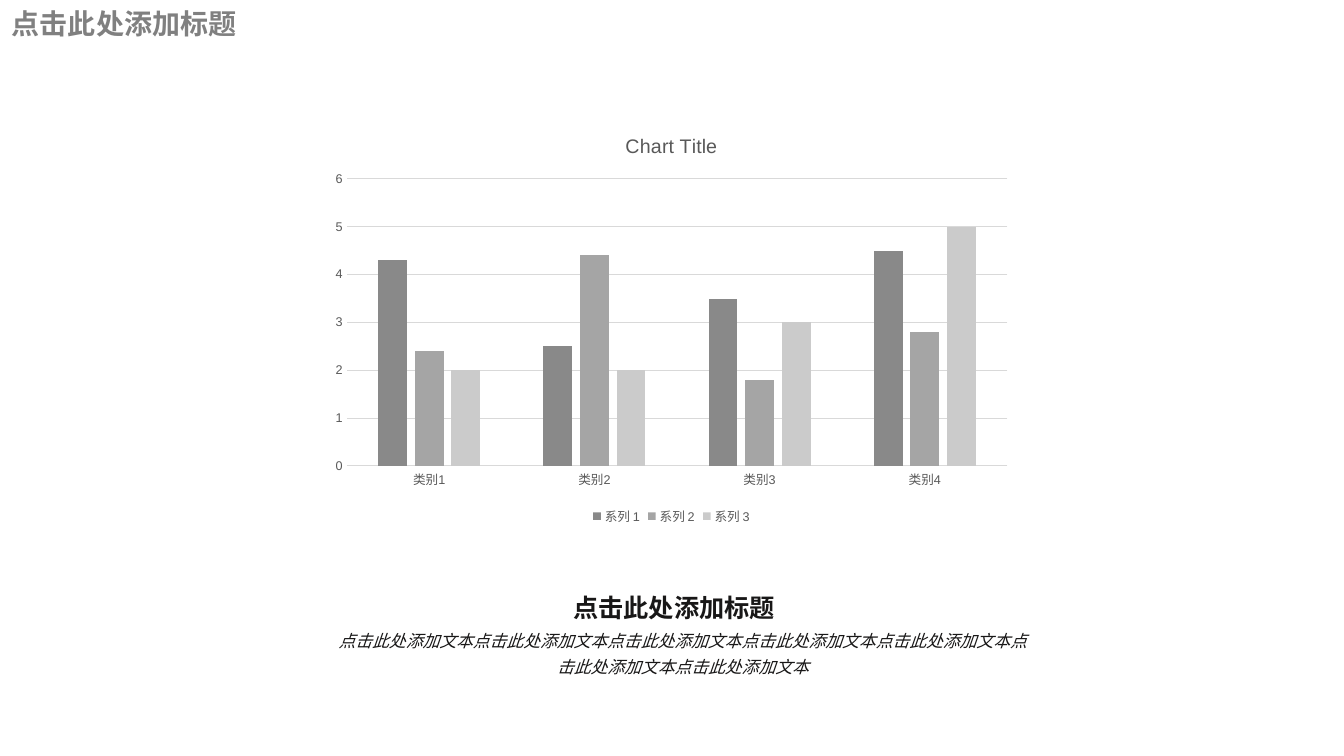
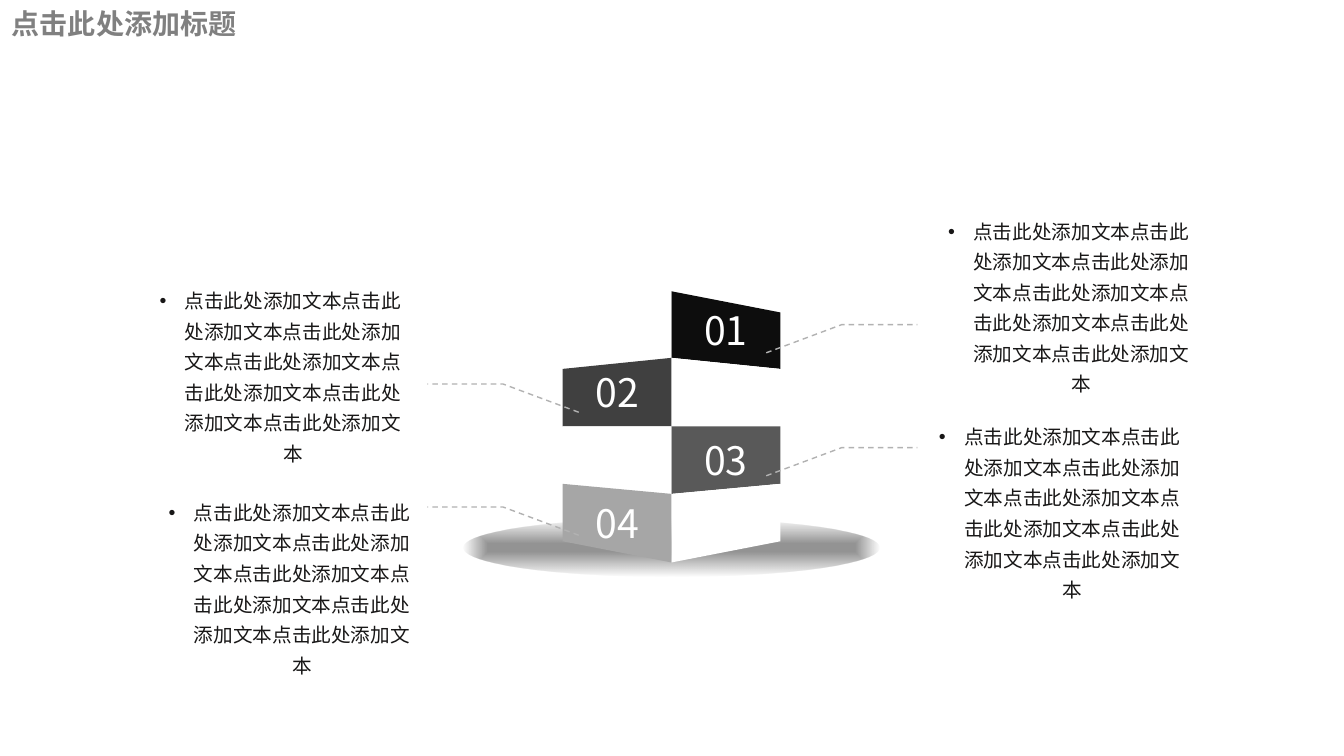
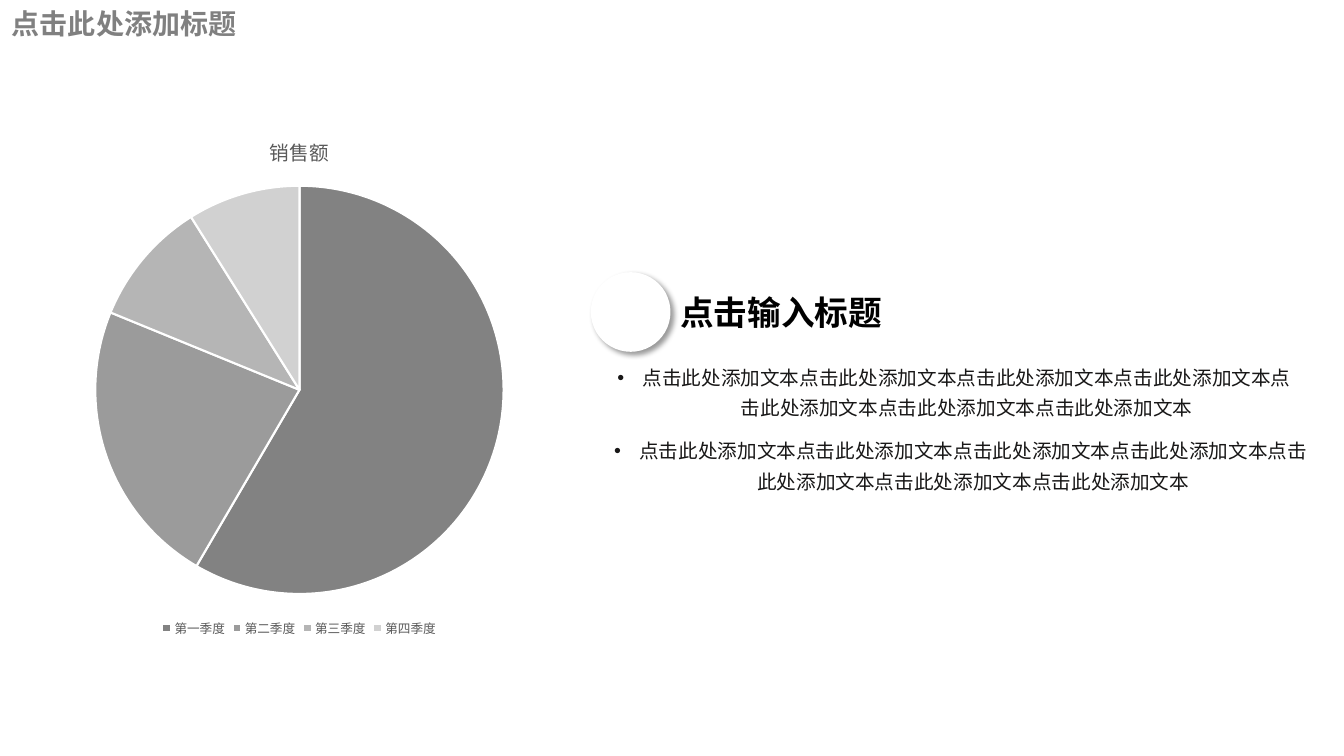
"""Build three greyscale slides: a column chart, a stacked block diagram and a pie chart."""
import lxml.etree
import pptx
import pptx.chart.data
import pptx.dml.color
import pptx.enum.chart
import pptx.enum.dml
import pptx.enum.shapes
import pptx.enum.text
import pptx.oxml
import pptx.oxml.ns
import pptx.util

Inches = pptx.util.Inches
Pt = pptx.util.Pt
CENTER = pptx.enum.text.PP_ALIGN.CENTER
LEFT = pptx.enum.text.PP_ALIGN.LEFT
FONT = "Noto Sans CJK SC"
CHART_FONT = "Arial"
INK = "181717"
CHART_INK = "595959"
GRID = "D9D9D9"
WHITE = "FFFFFF"
HEADING = "点击此处添加标题"
PHRASE = "点击此处添加文本"
NAMESPACE = 'xmlns:a="http://schemas.openxmlformats.org/drawingml/2006/main"'


def color(value):
    """Return the colour for a hex string."""
    return pptx.dml.color.RGBColor.from_string(value)


def paint(shape, value):
    """Give a shape a plain fill with no outline or shadow."""
    shape.shadow.inherit = False
    shape.fill.solid()
    shape.fill.fore_color.rgb = color(value)
    shape.line.fill.background()


def add_span(para, text, size, ink, bold=False, italic=False):
    """Add one formatted run to a paragraph."""
    span = para.add_run()
    span.text = text
    font = span.font
    font.size, font.bold, font.italic = Pt(size), bold, italic
    font.color.rgb = color(ink)
    font.name = FONT
    east = lxml.etree.SubElement(font._element, pptx.oxml.ns.qn("a:ea"))
    east.set("typeface", FONT)


def add_text(page, at, text, size, ink, align=LEFT, spacing=None, bold=False, italic=False):
    """Add a wrapping text box and return its paragraph."""
    box = page.shapes.add_textbox(*map(Inches, at))
    frame = box.text_frame
    frame.word_wrap = True
    frame.auto_size = pptx.enum.text.MSO_AUTO_SIZE.SHAPE_TO_FIT_TEXT
    para = frame.paragraphs[0]
    para.alignment = align
    para.line_spacing = spacing
    add_span(para, text, size, ink, bold, italic)
    return para


def add_bullet(page, at, repeats):
    """Add a bulleted body text box."""
    para = add_text(page, at, PHRASE * repeats, 14, INK, CENTER, 1.3)
    para.space_before = Pt(10)
    properties = para._p.get_or_add_pPr()
    properties.set("marL", str(Inches(0.25)))
    properties.set("indent", str(Inches(-0.25)))
    for tag, name, value in (("a:buFont", "typeface", "Arial"), ("a:buChar", "char", "•")):
        lxml.etree.SubElement(properties, pptx.oxml.ns.qn(tag)).set(name, value)


def add_page(deck):
    """Add a blank slide with the shared heading."""
    page = deck.slides.add_slide(deck.slide_layouts[6])
    add_text(page, (0.02, 0.02, 4.44, 0.44), HEADING, 20, "808080", bold=True)
    return page


def add_outline(page, points, close):
    """Add a freeform through points given in inches."""
    corners = [(Inches(x), Inches(y)) for x, y in points]
    builder = page.shapes.build_freeform(*corners[0])
    builder.add_line_segments(corners[1:], close=close)
    return builder.convert_to_shape()


def add_face(page, points, fill, label):
    """Add one face of the block, numbered unless it is white."""
    face = add_outline(page, points, True)
    paint(face, fill)
    if fill != WHITE:
        frame = face.text_frame
        frame.vertical_anchor = pptx.enum.text.MSO_ANCHOR.MIDDLE
        frame.paragraphs[0].alignment = CENTER
        add_span(frame.paragraphs[0], label, 28, WHITE)


def add_leader(page, x, y, direction):
    """Add a dashed leader that rises and then runs level."""
    bend, end = x + direction * 0.75, x + direction * 1.5
    leader = add_outline(page, [(x, y), (bend, y - 0.28), (end, y - 0.28)], False)
    leader.shadow.inherit = False
    leader.fill.background()
    leader.line.color.rgb = color("B2B2B2")
    leader.line.width = Pt(1)
    leader.line.dash_style = pptx.enum.dml.MSO_LINE.DASH


def add_ellipse(page, at):
    """Add a white ellipse."""
    ellipse = page.shapes.add_shape(pptx.enum.shapes.MSO_SHAPE.OVAL, *map(Inches, at))
    paint(ellipse, WHITE)
    return ellipse


def add_glow(page, at):
    """Add an ellipse that fades out from its centre."""
    glow = add_ellipse(page, at)
    stops = "".join(
        f'<a:gs pos="{place}000"><a:srgbClr val="333333"><a:alpha val="{alpha}000"/></a:srgbClr></a:gs>'
        for place, alpha in ((15, 52), (100, 0)))
    gradient = pptx.oxml.parse_xml(
        f'<a:gradFill {NAMESPACE} rotWithShape="1"><a:gsLst>{stops}</a:gsLst><a:path path="shape">'
        '<a:fillToRect l="50000" t="50000" r="50000" b="50000"/></a:path></a:gradFill>')
    properties = glow._element.spPr
    properties.replace(properties.find(pptx.oxml.ns.qn("a:solidFill")), gradient)


def add_disc(page, at):
    """Add a white disc with a soft shadow."""
    disc = add_ellipse(page, at)
    effects = disc._element.spPr.find(pptx.oxml.ns.qn("a:effectLst"))
    effects.append(pptx.oxml.parse_xml(
        f'<a:outerShdw {NAMESPACE} blurRad="{Pt(4)}" dist="{Pt(3)}" dir="2700000" algn="tl" '
        'rotWithShape="0"><a:srgbClr val="000000"><a:alpha val="40000"/></a:srgbClr></a:outerShdw>'))


def style_font(font, size):
    """Apply the shared chart lettering."""
    font.name, font.size, font.bold = CHART_FONT, Pt(size), False
    font.color.rgb = color(CHART_INK)


def add_chart(page, kind, at, title, categories, series):
    """Add a chart with the shared title and legend style."""
    data = pptx.chart.data.CategoryChartData()
    data.categories = categories
    for name, values in series:
        data.add_series(name, values)
    chart = page.shapes.add_chart(kind, *map(Inches, at), data).chart
    style_font(chart.font, 10)
    chart.has_title = True
    para = chart.chart_title.text_frame.paragraphs[0]
    span = para.add_run()
    span.text = title
    style_font(span.font, 14)
    chart.chart_title.include_in_layout = False
    chart.has_legend = True
    chart.legend.position = pptx.enum.chart.XL_LEGEND_POSITION.BOTTOM
    chart.legend.include_in_layout = False
    style_font(chart.legend.font, 9)
    return chart


def style_axis(axis):
    """Apply the shared axis style."""
    axis.major_tick_mark = axis.minor_tick_mark = pptx.enum.chart.XL_TICK_MARK.NONE
    style_font(axis.tick_labels.font, 9)


def style_line(line, ink, width):
    """Set the colour and width of a line."""
    line.color.rgb = color(ink)
    line.width = Pt(width)


def build_columns(deck):
    """Build the column chart slide."""
    page = add_page(deck)
    chart = add_chart(
        page, pptx.enum.chart.XL_CHART_TYPE.COLUMN_CLUSTERED, (3.19, 1.15, 6.94, 4.1), "Chart Title",
        ["类别1", "类别2", "类别3", "类别4"],
        [("系列 1", (4.3, 2.5, 3.5, 4.5)), ("系列 2", (2.4, 4.4, 1.8, 2.8)), ("系列 3", (2, 2, 3, 5))])
    plot = chart.plots[0]
    plot.gap_width, plot.overlap, plot.vary_by_categories = 219, -27, False
    for series, fill in zip(plot.series, ("898989", "A5A5A5", "CBCBCB")):
        series.format.fill.solid()
        series.format.fill.fore_color.rgb = color(fill)
    style_axis(chart.category_axis)
    style_axis(chart.value_axis)
    style_line(chart.category_axis.format.line, GRID, 0.75)
    style_line(chart.value_axis.major_gridlines.format.line, GRID, 0.75)
    chart.value_axis.format.line.fill.background()
    chart.value_axis.minimum_scale, chart.value_axis.maximum_scale = 0, 6
    chart.value_axis.major_unit = 1
    add_text(page, (3.25, 6.15, 7.05, 0.62), PHRASE * 7, 12, INK, CENTER, 1.3, italic=True)
    add_text(page, (3.89, 5.83, 5.59, 0.4), HEADING, 18, INK, CENTER, bold=True)


def build_blocks(deck):
    """Build the stacked block slide."""
    page = add_page(deck)
    add_glow(page, (4.6, 5.15, 4.12, 0.57))
    ridge, width = 6.66, 1.08
    inner = (2.89, 3.55, 4.23, 4.9, 5.58)
    outer = (3.1, 3.66, 4.23, 4.8, 5.37)
    sides = ((1, ("0D0D0D", WHITE, "595959", WHITE)), (-1, (WHITE, "404040", WHITE, "A6A6A6")))
    for direction, fills in sides:
        edge = ridge + direction * width
        for row, fill in enumerate(fills):
            points = [(ridge, inner[row]), (edge, outer[row]),
                      (edge, outer[row + 1]), (ridge, inner[row + 1])]
            add_face(page, points, fill, f"{row + 1:02}")
    for x, y, direction in ((7.6, 3.5, 1), (7.6, 4.72, 1), (5.74, 4.09, -1), (5.74, 5.31, -1)):
        add_leader(page, x, y, direction)
    for left, top in ((1.45, 2.75), (1.54, 4.85), (9.27, 2.06), (9.18, 4.1)):
        add_bullet(page, (left, top, 2.66, 1.93), 7)


def build_pie(deck):
    """Build the pie chart slide."""
    page = add_page(deck)
    add_disc(page, (5.86, 2.7, 0.79, 0.79))
    add_text(page, (6.65, 2.85, 4.06, 0.51), "点击输入标题", 24, "000000", bold=True)
    add_bullet(page, (5.95, 3.51, 7.03, 0.71), 7)
    add_bullet(page, (5.95, 4.24, 7.16, 0.71), 7)
    chart = add_chart(
        page, pptx.enum.chart.XL_CHART_TYPE.PIE, (-0.5, 1.15, 6.94, 5.21), "销售额",
        ["第一季度", "第二季度", "第三季度", "第四季度"], [("销售额", (59, 23, 10, 9))])
    chart.plots[0].vary_by_categories = True
    for index, fill in enumerate(("828282", "9B9B9B", "B5B5B5", "D1D1D1")):
        slice_format = chart.plots[0].series[0].points[index].format
        slice_format.fill.solid()
        slice_format.fill.fore_color.rgb = color(fill)
        style_line(slice_format.line, WHITE, 1.5)


def main():
    """Build and save the deck."""
    deck = pptx.Presentation()
    deck.slide_width, deck.slide_height = Inches(13.33), Inches(7.5)
    build_columns(deck)
    build_blocks(deck)
    build_pie(deck)
    deck.save("out.pptx")


if __name__ == "__main__":
    main()
